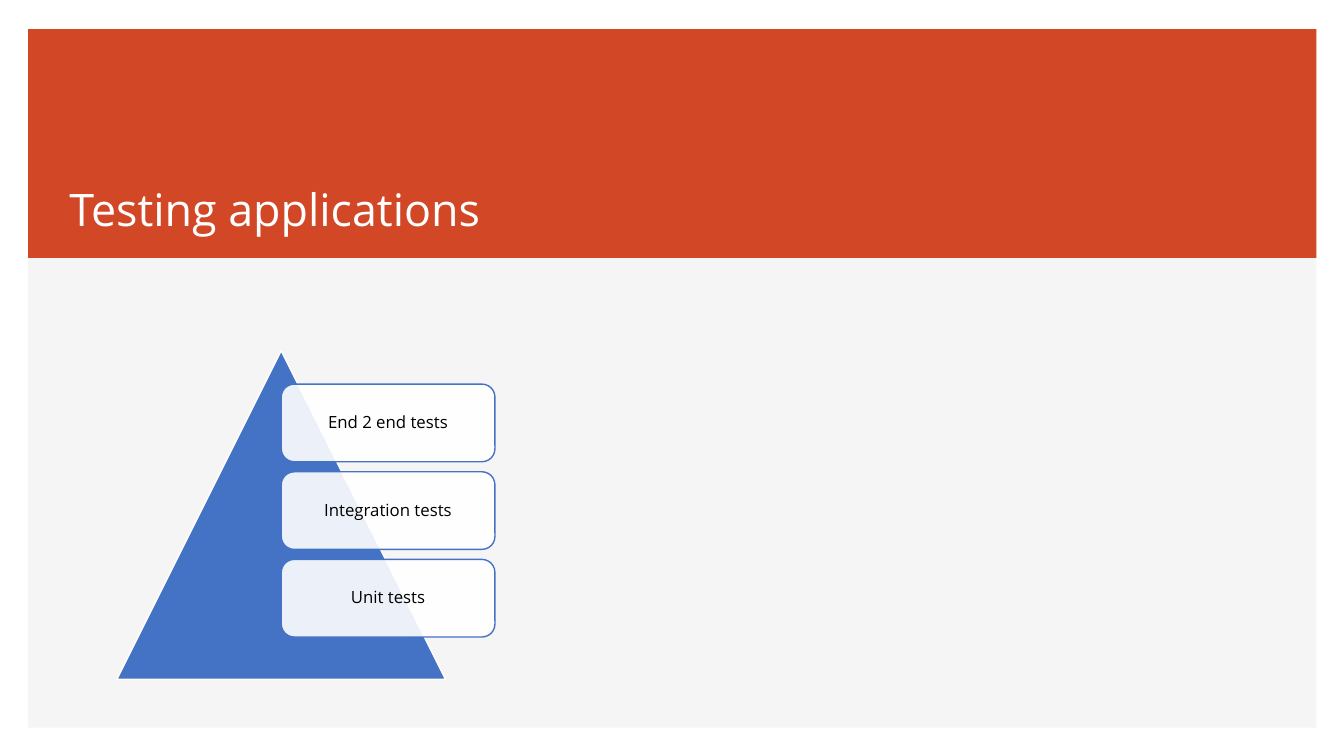
"""Build the slide about the pyramid of application tests."""
from dataclasses import dataclass

from lxml import etree
from pptx import Presentation
from pptx.dml.color import RGBColor
from pptx.enum.shapes import MSO_SHAPE
from pptx.enum.text import MSO_ANCHOR, PP_ALIGN
from pptx.oxml.ns import qn
from pptx.util import Pt

RECTANGLE = MSO_SHAPE.RECTANGLE
TRIANGLE = MSO_SHAPE.ISOSCELES_TRIANGLE
ROUNDED = MSO_SHAPE.ROUNDED_RECTANGLE
BOTTOM, MIDDLE = MSO_ANCHOR.BOTTOM, MSO_ANCHOR.MIDDLE
LEFT, CENTER = PP_ALIGN.LEFT, PP_ALIGN.CENTER


@dataclass(frozen=True)
class Theme:
    """Colours, font and type sizes of the slide."""
    white: str = "FFFFFF"
    panel: str = "F5F5F5"
    banner: str = "D24726"
    accent: str = "4472C4"
    ink: str = "000000"
    font: str = "Open Sans"
    title_size: float = 32
    label_size: float = 12


THEME = Theme()
LEVELS = ("End 2 end tests", "Integration tests", "Unit tests")
LEVEL_LEFT, LEVEL_TOP = 200.88, 274.4
LEVEL_WIDTH, LEVEL_HEIGHT, LEVEL_PITCH = 152.64, 55.44, 62.6


def add_block(shapes, kind, box, fill, line=None):
    """Add a filled preset shape with an optional outline."""
    shape = shapes.add_shape(kind, *map(Pt, box))
    shape.shadow.inherit = False
    shape.fill.solid()
    shape.fill.fore_color.rgb = RGBColor.from_string(fill)
    if line:
        shape.line.color.rgb = RGBColor.from_string(line)
        shape.line.width = Pt(1)
    else:
        shape.line.fill.background()
    return shape


def set_opacity(shape, percent):
    """Make the solid fill of a shape partly transparent."""
    color = shape.fill._xPr.find(qn("a:solidFill"))[0]
    etree.SubElement(color, qn("a:alpha"), val=str(percent * 1000))


def write_text(shape, text, size, color, anchor, alignment):
    """Write one styled paragraph into a shape."""
    frame = shape.text_frame
    frame.word_wrap = True
    frame.vertical_anchor = anchor
    paragraph = frame.paragraphs[0]
    paragraph.alignment = alignment
    paragraph.line_spacing = 0.9
    run = paragraph.add_run()
    run.text = text
    run.font.name = THEME.font
    run.font.size = Pt(size)
    run.font.color.rgb = RGBColor.from_string(color)


def add_title(slide, text):
    """Add the title at the foot of the banner."""
    title = slide.shapes.add_textbox(*map(Pt, (42.48, 102.24, 874.8, 69.84)))
    write_text(title, text, THEME.title_size, THEME.white, BOTTOM, LEFT)


def add_pyramid(slide, levels):
    """Add the triangle with one label card for each test level."""
    shapes = slide.shapes.add_group_shape().shapes
    add_block(shapes, TRIANGLE, (83.52, 250.56, 234.72, 234.72),
              THEME.accent, THEME.white)
    for index, level in enumerate(levels):
        top = LEVEL_TOP + index * LEVEL_PITCH
        card = add_block(shapes, ROUNDED,
                         (LEVEL_LEFT, top, LEVEL_WIDTH, LEVEL_HEIGHT),
                         THEME.white, THEME.accent)
        set_opacity(card, 90)
        write_text(card, level, THEME.label_size, THEME.ink, MIDDLE, CENTER)


def main():
    """Build and save the presentation."""
    presentation = Presentation()
    presentation.slide_width, presentation.slide_height = Pt(960), Pt(540)
    slide = presentation.slides.add_slide(presentation.slide_layouts[6])
    add_block(slide.shapes, RECTANGLE, (20.16, 20.88, 920.16, 498.96), THEME.panel)
    add_block(slide.shapes, RECTANGLE, (20.16, 20.88, 920.16, 163.44), THEME.banner)
    add_title(slide, "Testing applications")
    add_pyramid(slide, LEVELS)
    presentation.save("out.pptx")


if __name__ == "__main__":
    main()
